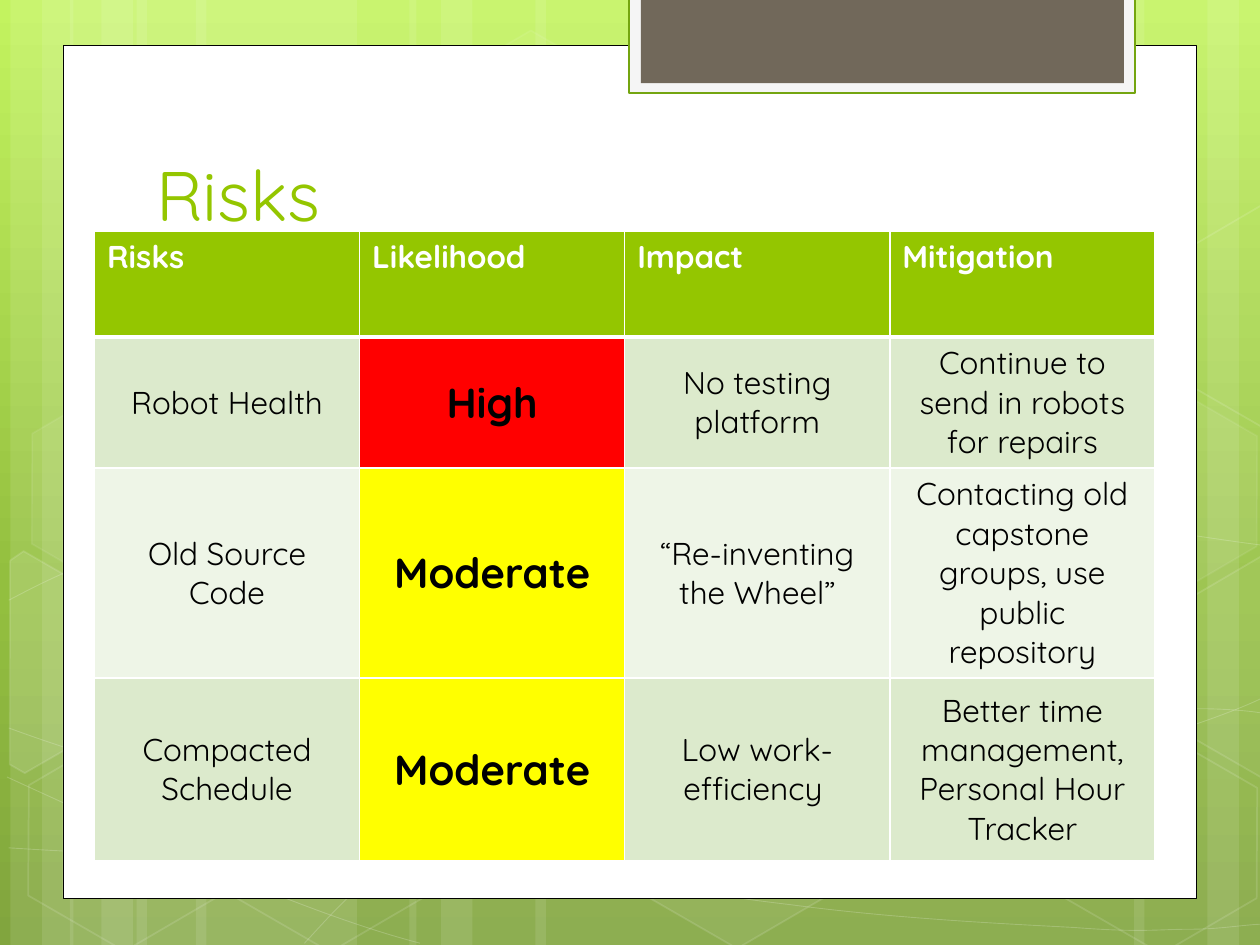
from copy import deepcopy

from lxml import etree
from pptx import Presentation
from pptx.dml.color import RGBColor
from pptx.enum import shapes, text
from pptx.oxml import ns
from pptx.util import Pt

FONT = "Quicksand"
COLORS = {
    "sky": "C3F35F", "leaf": "93BF3F", "moss": "81A53E",
    "white": "FFFFFF", "black": "000000", "accent": "94C600",
    "tab_edge": "74A510", "tab_rim": "F5F5F5", "tab": "71685A",
    "band_dark": "DCEACC", "band_light": "EEF5E7",
    "High": "FF0000", "Moderate": "FFFF00",
}
BACKGROUND_STOPS = [("sky", 0), ("leaf", 0.62), ("moss", 1)]

# left, width
STRIPES = [
    (78, 126), (6, 36), (24, 60), (112, 126), (40, 36), (58, 60),
    (528, 126), (690, 36), (648, 60), (306, 222), (234, 36), (252, 60),
]
# start point, then three points for each Bezier segment
CURVES = [
    [(5, 484.5), (44, 487), (83, 489), (137, 488), (191, 487), (258, 486), (330, 479),
     (402, 472), (504, 458), (570, 444), (636, 431), (703, 409), (725, 397)],
    [(5, 343), (26, 332), (47, 321), (87, 310), (128, 299), (186, 284), (250, 279),
     (314, 274), (392, 273), (471, 279), (550, 284), (682, 307), (725, 312)],
    [(4, 444), (91, 484), (178, 523), (240, 539)],
    [(5, 416), (27, 424), (50, 432), (92, 443), (134, 454), (197, 472), (257, 485),
     (317, 497), (392, 510), (452, 517), (512, 525), (576, 528), (614, 530),
     (652, 533), (662, 531), (680, 531), (699, 531), (712, 528), (725, 528)],
    [(174, 539), (187, 525), (200, 510), (217, 498), (235, 485), (259, 470), (279, 460),
     (300, 450), (312, 446), (338, 438), (364, 431), (413, 421), (438, 416),
     (464, 411), (467, 411), (490, 410), (512, 408), (547, 405), (572, 405),
     (597, 404), (638, 405), (638, 405), (638, 405), (686, 405), (686, 405),
     (698, 405), (711, 406), (718, 407), (724, 408), (722, 407), (725, 408)],
]
# left, top, fill opacity, line opacity
HEXAGONS = [
    (240.5, 26, 4, 8), (358, 424, 6, 12), (8, 425.5, 0, 12), (10, 224.5, 7, 8),
    (125.5, 426, 0, 12), (542, 326, 10, 12), (600.5, 427, 0, 12), (600.5, 226, 7, 8),
]
CUT_ON_LEFT = [(0, 8.5), (4, 0), (68, 0), (99.5, 55), (68, 109.5), (58, 109.5)]
CUT_ON_RIGHT = [(0, 54.5), (31, 0), (37.5, 0), (98, 104.5), (94.5, 109.5), (31, 109.5)]
# left, top, corner points, fill opacity
CUT_HEXAGONS = [
    (-24, 330.5, CUT_ON_LEFT, 10),
    (660, 319.5, CUT_ON_RIGHT, 4),
    (660, 119, CUT_ON_RIGHT, 0),
]

HEADINGS = ["Risks", "Likelihood", "Impact", "Mitigation"]
RISKS = [
    ["Robot Health", "High", "No testing platform",
     "Continue to send in robots for repairs"],
    ["Old Source Code", "Moderate", "“Re-inventing the Wheel”",
     "Contacting old capstone groups, use public repository"],
    ["Compacted Schedule", "Moderate", "Low work-efficiency ",
     "Better time management,\nPersonal Hour Tracker"],
]
ROW_HEIGHTS = [60.5, 60.5, 104.5, 104.5]


def color(name):
    return RGBColor.from_string(COLORS[name])


def paint(target, name, opacity=100):
    """Give a fill, or the fill of a line, a colour and an opacity in percent."""
    if not opacity:
        target.background()
        return
    target.solid()
    target.fore_color.rgb = color(name)
    if opacity < 100:
        tint = target._xPr.find(ns.qn("a:solidFill"))[0]
        etree.SubElement(tint, ns.qn("a:alpha"), val=str(opacity * 1000))


def style(shape, fill="white", fill_opacity=100, line=None, line_width=1, line_opacity=100):
    shape.shadow.inherit = False
    paint(shape.fill, fill, fill_opacity)
    paint(shape.line.fill, line, line_opacity if line else 0)
    if line:
        shape.line.width = Pt(line_width)


def add_preset(slide, kind, left, top, width, height):
    return slide.shapes.add_shape(kind, Pt(left), Pt(top), Pt(width), Pt(height))


def add_outline(slide, left, top, points, close):
    points = [(Pt(left + x), Pt(top + y)) for x, y in points]
    builder = slide.shapes.build_freeform(*points[0])
    builder.add_line_segments(points[1:], close=close)
    return builder.convert_to_shape()


def add_curve(slide, left, top, controls):
    """Chain of cubic Bezier segments: every three line ends become one segment."""
    shape = add_outline(slide, left, top, controls, False)
    lines = list(shape._element.iter(ns.qn("a:lnTo")))
    for start in range(0, len(lines), 3):
        bezier = etree.Element(ns.qn("a:cubicBezTo"))
        lines[start].addprevious(bezier)
        for line in lines[start:start + 3]:
            bezier.append(line[0])
            line.getparent().remove(line)
    return shape


def set_background(slide):
    fill = slide.background.fill
    fill.gradient()
    fill.gradient_angle = 270
    stop_list = next(slide._element.iter(ns.qn("a:gsLst")))
    stop_list.append(deepcopy(stop_list[0]))
    for stop, (name, position) in zip(fill.gradient_stops, BACKGROUND_STOPS):
        stop.color.rgb = color(name)
        stop.position = position


def add_backdrop(slide, left, top, height):
    """Pale stripes, fine curves and hexagons over the background."""
    for x, width in STRIPES:
        style(add_preset(slide, shapes.MSO_SHAPE.RECTANGLE, left + x, top, width, height),
              fill_opacity=10)
    for controls in CURVES:
        style(add_curve(slide, left, top, controls),
              fill_opacity=0, line="white", line_width=0.5, line_opacity=20)
    for x, y, fill_opacity, line_opacity in HEXAGONS:
        hexagon = add_preset(slide, shapes.MSO_SHAPE.HEXAGON, left + x, top + y, 126, 109.5)
        hexagon.adjustments[0] = 0.285
        hexagon.rotation = 30
        style(hexagon, fill_opacity=fill_opacity, line="white", line_opacity=line_opacity)
    for x, y, corners, fill_opacity in CUT_HEXAGONS:
        hexagon = add_outline(slide, left + x, top + y, corners, True)
        hexagon.rotation = 30
        style(hexagon, fill_opacity=fill_opacity, line="white", line_opacity=12)


def add_page(slide, left, top, width, height):
    """White page with a framed tab hanging from the top edge of the slide."""
    rectangle = shapes.MSO_SHAPE.RECTANGLE
    style(add_preset(slide, rectangle, left, top, width, height),
          line="black", line_width=0.5)
    style(add_preset(slide, rectangle, left + 323.25, top - 27.5, 289.5, 54.75),
          "tab_rim", line="tab_edge", line_width=1.25)
    style(add_preset(slide, rectangle, left + 330.25, top - 27.5, 276, 49), "tab")


def place_title(slide, left, top, width, height):
    title = slide.shapes.title
    slide.shapes._spTree.append(title._element)
    title.left, title.top, title.width, title.height = map(Pt, (left, top, width, height))
    frame = title.text_frame
    frame.text = "Risks"
    frame.auto_size = text.MSO_AUTO_SIZE.NONE
    frame.vertical_anchor = text.MSO_ANCHOR.BOTTOM
    paragraph = frame.paragraphs[0]
    paragraph.alignment = text.PP_ALIGN.LEFT
    set_font(paragraph, 40, "accent")


def set_font(paragraph, size, name, bold=False):
    font = paragraph.font
    font.name, font.size, font.bold = FONT, Pt(size), bold
    font.color.rgb = color(name)


def set_borders(cell, bottom=1, top=1):
    properties = cell._tc.get_or_add_tcPr()
    for index, (side, width) in enumerate(
            [("lnL", 1), ("lnR", 1), ("lnT", top), ("lnB", bottom)]):
        line = etree.Element(ns.qn(f"a:{side}"), w=str(Pt(width)))
        fill = etree.SubElement(line, ns.qn("a:solidFill"))
        etree.SubElement(fill, ns.qn("a:srgbClr"), val=COLORS["white"])
        properties.insert(index, line)


def add_risk_table(slide, left, top, width):
    rows = [HEADINGS] + RISKS
    table = slide.shapes.add_table(len(rows), len(HEADINGS), Pt(left), Pt(top),
                                   Pt(width), Pt(sum(ROW_HEIGHTS))).table
    for row, height in zip(table.rows, ROW_HEIGHTS):
        row.height = Pt(height)
    for r, values in enumerate(rows):
        for c, value in enumerate(values):
            cell = table.cell(r, c)
            cell.text = value
            heading, rated = r == 0, value in ("High", "Moderate")
            band = "band_dark" if r % 2 else "band_light"
            paint(cell.fill, "accent" if heading else value if rated else band)
            set_borders(cell, bottom=3 if heading else 1, top=3 if r == 1 else 1)
            if not heading:
                cell.vertical_anchor = text.MSO_ANCHOR.MIDDLE
            for paragraph in cell.text_frame.paragraphs:
                if not heading:
                    paragraph.alignment = text.PP_ALIGN.CENTER
                set_font(paragraph, 24 if rated else 18,
                         "white" if heading else "black", heading or rated)


def main():
    presentation = Presentation()
    presentation.slide_width, presentation.slide_height = Pt(720), Pt(540)
    slide = presentation.slides.add_slide(presentation.slide_layouts[5])
    set_background(slide)
    add_backdrop(slide, 0, 0, 540)
    add_page(slide, 36, 26, 648, 487.25)
    place_title(slide, 82, 81, 553, 57)
    add_risk_table(slide, 54, 132, 606)
    presentation.save("out.pptx")


if __name__ == "__main__":
    main()
